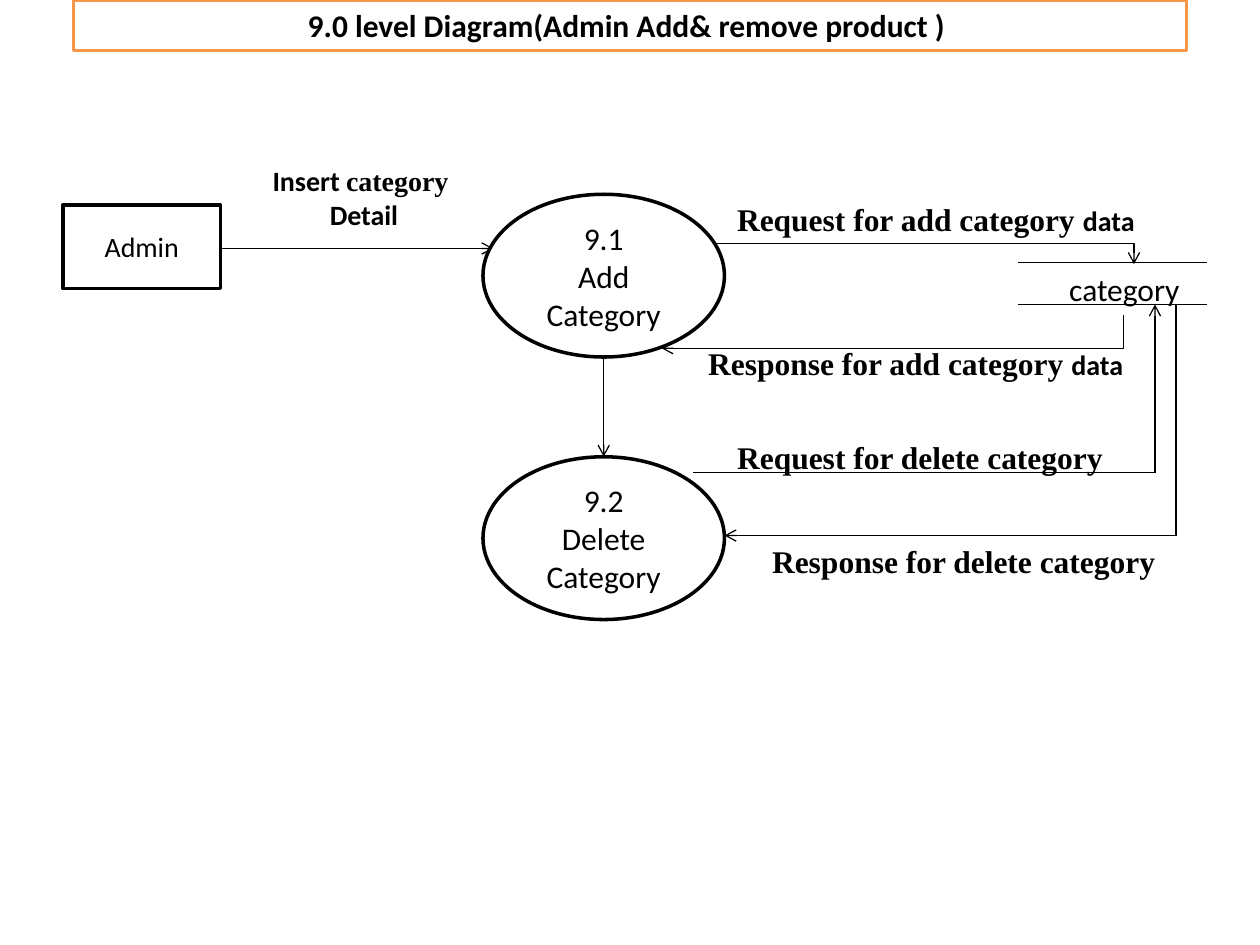
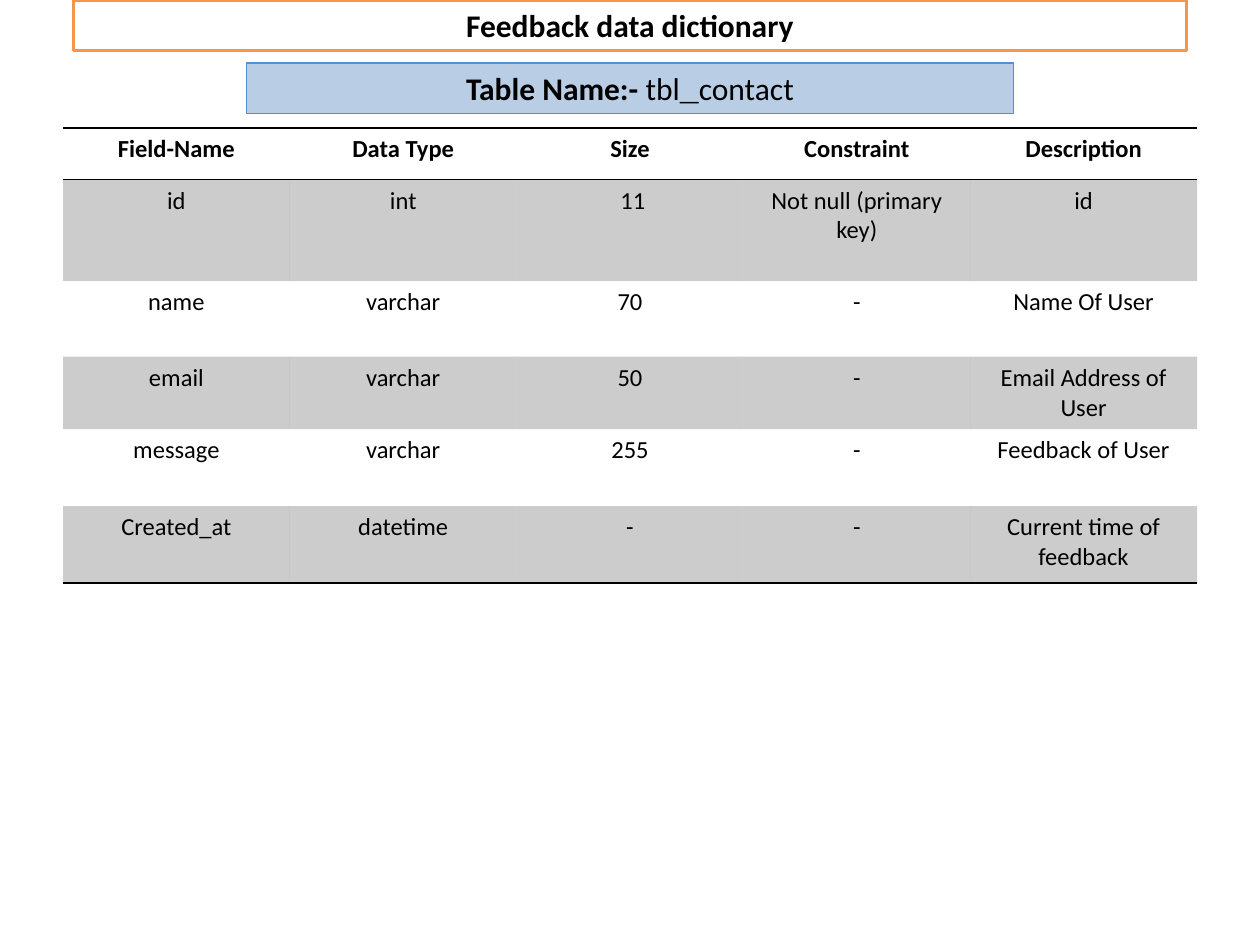
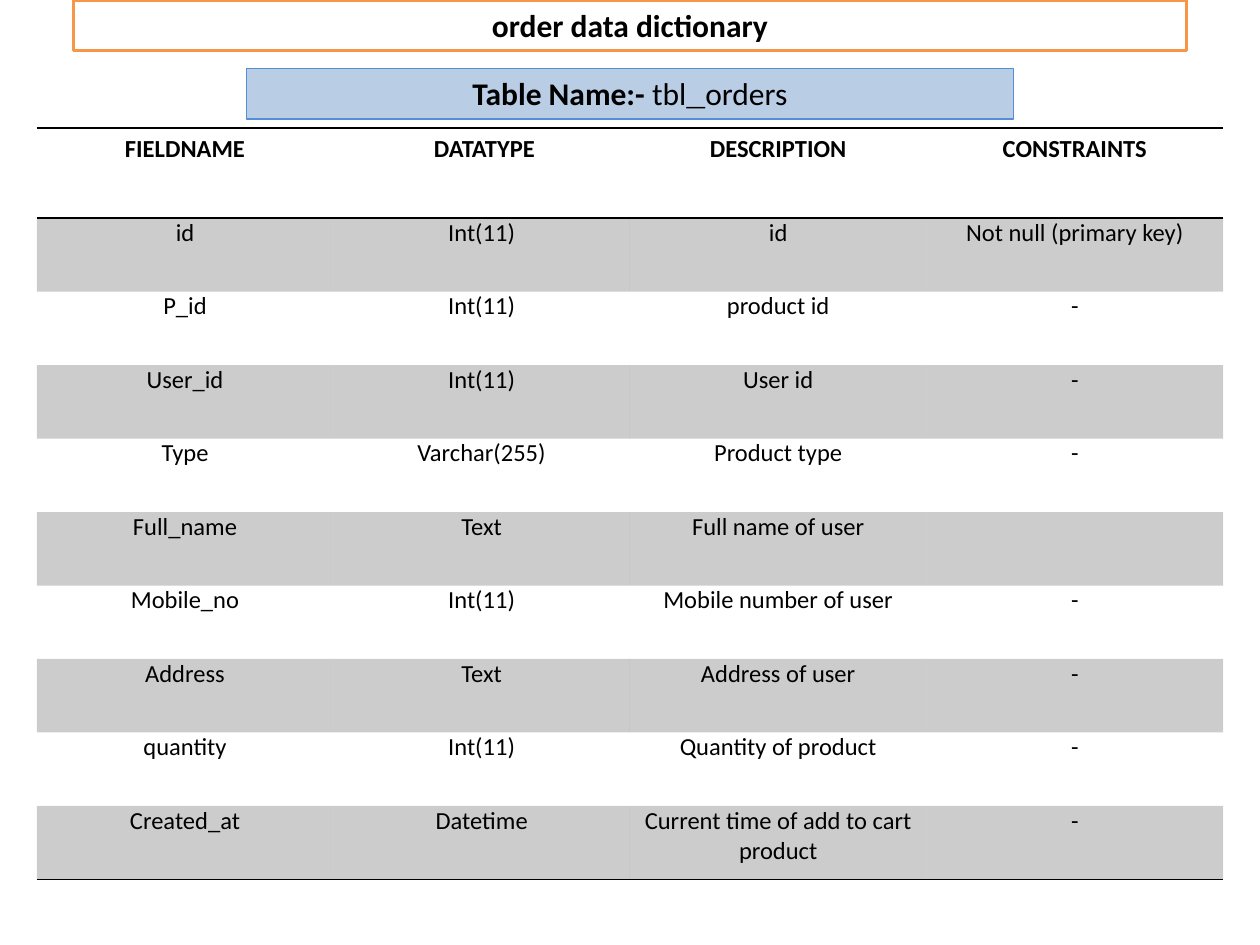
from dataclasses import dataclass
from typing import NamedTuple

from lxml.etree import SubElement
from pptx import Presentation
from pptx.dml.color import RGBColor
from pptx.enum.shapes import MSO_CONNECTOR as Link, MSO_SHAPE as Preset
from pptx.enum.text import MSO_ANCHOR as Anchor, MSO_AUTO_SIZE as AutoSize, PP_ALIGN as Align
from pptx.oxml.ns import qn
from pptx.util import Pt

# Shared look
BLACK, WHITE, ORANGE = "000000", "FFFFFF", "F79646"
BAND_FILL, BAND_LINE = "B9CDE5", "558ED5"
SANS, SERIF, MONO = "Calibri", "Times New Roman", "Courier New"
NO_GRID_STYLE = "{2D5ABB26-0587-4C30-8999-92F81FD0307C}"
LINE_HEIGHT = 29


class Box(NamedTuple):
    left: float
    top: float
    width: float
    height: float = LINE_HEIGHT


class Run(NamedTuple):
    text: str
    size: float = 18
    bold: bool = False
    font: str = SANS


class Point(NamedTuple):
    x: float
    y: float


Paragraphs = list[list[Run]]


@dataclass
class Dictionary:
    title: str
    table_name: list[Run]
    name_top: float
    left: float
    column_width: float
    row_heights: list[float]
    rows: list[list[str]]
    body_insets: tuple[float, float]


def color(value: str) -> RGBColor:
    return RGBColor.from_string(value)


def pts(values) -> list[Pt]:
    return [Pt(value) for value in values]


def write(frame, paragraphs: Paragraphs) -> None:
    for index, runs in enumerate(paragraphs):
        paragraph = frame.add_paragraph() if index else frame.paragraphs[0]
        paragraph.alignment = Align.CENTER
        for part in runs:
            run = paragraph.add_run()
            run.text = part.text
            run.font.size = Pt(part.size)
            run.font.bold = part.bold
            run.font.name = part.font
            run.font.color.rgb = color(BLACK)


def add_label(slide, box: Box, paragraphs: Paragraphs, wrap: bool = True) -> None:
    frame = slide.shapes.add_textbox(*pts(box)).text_frame
    frame.word_wrap = wrap
    frame.auto_size = AutoSize.SHAPE_TO_FIT_TEXT
    write(frame, paragraphs)


def add_node(slide, preset: Preset, box: Box, paragraphs: Paragraphs, fill: str | None = WHITE,
             line: str = BLACK, weight: float = 2, anchor: Anchor = Anchor.MIDDLE) -> None:
    node = slide.shapes.add_shape(preset, *pts(box))
    node.shadow.inherit = False
    if fill:
        node.fill.solid()
        node.fill.fore_color.rgb = color(fill)
    else:
        node.fill.background()
    node.line.color.rgb = color(line)
    node.line.width = Pt(weight)
    node.text_frame.word_wrap = True
    node.text_frame.vertical_anchor = anchor
    write(node.text_frame, paragraphs)


def add_link(slide, start: Point, end: Point, arrow: bool = True, kind: Link = Link.STRAIGHT):
    link = slide.shapes.add_connector(kind, *pts((*start, *end)))
    link.line.color.rgb = color(BLACK)
    link.line.width = Pt(0.75)
    properties = link._element.spPr
    if arrow:
        SubElement(properties.find(qn("a:ln")), qn("a:tailEnd"), type="arrow")
    SubElement(properties, qn("a:effectLst"))
    return properties


def add_corner(slide, start: Point, end: Point, down_first: bool = False) -> None:
    """One bend: across then down, or (turned a quarter) down then left."""
    if down_first:
        center = Point((start.x + end.x) / 2, (start.y + end.y) / 2)
        half_width, half_height = abs(end.y - start.y) / 2, abs(end.x - start.x) / 2
        start = Point(center.x - half_width, center.y - half_height)
        end = Point(center.x + half_width, center.y + half_height)
    properties = add_link(slide, start, end, kind=Link.ELBOW)
    properties.find(qn("a:prstGeom")).set("prst", "bentConnector2")
    if down_first:
        properties.find(qn("a:xfrm")).set("rot", "5400000")


def add_title(slide, title: str) -> None:
    add_node(slide, Preset.RECTANGLE, Box(42, 0, 636), [[Run(title, bold=True)]],
             fill=None, line=ORANGE, anchor=Anchor.TOP)


def add_border(cell, edge: str) -> None:
    line = SubElement(cell._tc.get_or_add_tcPr(), qn(f"a:{edge}"), w=str(Pt(1)))
    SubElement(SubElement(line, qn("a:solidFill")), qn("a:srgbClr"), val=BLACK)


def fill_cell(cell, shaded: bool) -> None:
    if not shaded:
        cell.fill.background()
        return
    cell.fill.solid()
    cell.fill.fore_color.rgb = color(BLACK)
    tint = cell._tc.tcPr.find(qn("a:solidFill")).find(qn("a:srgbClr"))
    SubElement(tint, qn("a:alpha"), val="20000")


def add_dictionary(slide, content: Dictionary) -> None:
    add_title(slide, content.title)
    columns = len(content.rows[0])
    last = len(content.rows) - 1
    box = Box(content.left, 73.2, content.column_width * columns, sum(content.row_heights))
    table = slide.shapes.add_table(last + 1, columns, *pts(box)).table
    table.first_row = table.horz_banding = False
    table._tbl.tblPr.find(qn("a:tableStyleId")).text = NO_GRID_STYLE
    for column in table.columns:
        column.width = Pt(content.column_width)
    for r, (values, height) in enumerate(zip(content.rows, content.row_heights)):
        table.rows[r].height = Pt(height)
        for c, value in enumerate(values):
            cell = table.cell(r, c)
            if r == 0:
                add_border(cell, "lnT")
            else:
                side, end = content.body_insets
                cell.margin_left = cell.margin_right = Pt(side)
                cell.margin_top = cell.margin_bottom = Pt(end)
            if r in (0, last):
                add_border(cell, "lnB")
            fill_cell(cell, shaded=r % 2 == 1)
            if value:
                write(cell.text_frame, [[Run(value, 14, bold=r == 0)]])
    add_node(slide, Preset.RECTANGLE, Box(141, content.name_top, 438),
             [[Run("Table Name:- ", bold=True), *content.table_name]],
             BAND_FILL, BAND_LINE, 0.75, Anchor.TOP)


def add_flow_diagram(slide) -> None:
    def serif(text: str) -> Run:
        return Run(text, 18, True, SERIF)

    data = Run("data", 16, True)
    process_left, process_width, process_height = 276, 138, 93
    add_top, delete_top = 111, 261
    store_top, store_bottom = 150, 174

    # Admin input and the category store
    add_link(slide, Point(126, 142), Point(282, 142))
    for y in (store_bottom, store_top):
        add_link(slide, Point(582, y), Point(690, y), arrow=False)
    add_label(slide, Box(582, 151, 121), [[Run("category")]])
    add_label(slide, Box(137.5, 90, 141, 46),
              [[Run("Insert ", 16, True), Run("category ", 16, True, SERIF)],
               [Run("Detail", 16, True)]], wrap=False)

    # Add process
    add_node(slide, Preset.OVAL, Box(process_left, add_top, process_width, process_height),
             [[Run("9.1")], [Run("Add Category")]])
    add_label(slide, Box(407, 111, 255.5), [[serif("Request for add category "), data]], wrap=False)
    add_node(slide, Preset.RECTANGLE, Box(36, 117, 90, 48), [[Run("Admin", 16)]])
    add_corner(slide, Point(407.5, 139), Point(648, 151))
    add_corner(slide, Point(642, 180), Point(378, 199), down_first=True)
    add_label(slide, Box(390, 193, 266.5), [[serif("Response for add category "), data]], wrap=False)

    # Delete request and response
    add_link(slide, Point(396, 270), Point(660, 270), arrow=False)
    add_link(slide, Point(660, 270), Point(660, store_bottom))
    add_link(slide, Point(672, store_bottom), Point(672, 306), arrow=False)
    add_link(slide, Point(672, 306), Point(process_left + process_width, 306))
    add_label(slide, Box(396, 247, 264), [[serif("Request for delete category ")]])
    add_label(slide, Box(416, 306, 274), [[serif("Response for delete category ")]])

    # Delete process
    add_link(slide, Point(345, add_top + process_height), Point(345, delete_top))
    add_title(slide, "9.0 level Diagram(Admin Add& remove product ) ")
    add_node(slide, Preset.OVAL, Box(process_left, delete_top, process_width, process_height),
             [[Run("9.2")], [Run("Delete")], [Run("Category")]])


FEEDBACK = Dictionary(
    title="Feedback data dictionary",
    table_name=[Run("tbl"), Run("_", bold=True, font=MONO), Run("contact")],
    name_top=36, left=36, column_width=129.6,
    row_heights=[29.4, 58, 43.2, 41.4, 44, 44],
    rows=[
        ["Field-Name", "Data Type", "Size", "Constraint", "Description"],
        ["id", "int", " 11", "Not null (primary key)", "id"],
        ["name", "varchar", "70", "-", "Name Of User"],
        ["email", "varchar", "50", "-", "Email Address of User"],
        ["message", "varchar", "255", "-", "Feedback of User"],
        ["Created_at", "datetime", "-", "-", "Current time of feedback"],
    ],
    body_insets=(7.2, 3.6),
)

ORDERS = Dictionary(
    title="order data dictionary",
    table_name=[Run("tbl"), Run("_", font=MONO), Run("orders")],
    name_top=39, left=21, column_width=169.5,
    row_heights=[51.5] + [42] * 9,
    rows=[
        ["FIELDNAME", " DATATYPE", "DESCRIPTION", "CONSTRAINTS"],
        ["id", "Int(11)", "id", "Not null (primary key)"],
        ["P_id", "Int(11)", "product id", "-"],
        ["User_id", "Int(11)", "User id", "-"],
        ["Type", "Varchar(255)", "Product type", "-"],
        ["Full_name", "Text", "Full name of user", ""],
        ["Mobile_no", "Int(11)", "Mobile number of user", "-"],
        ["Address", "Text", "Address of user", "-"],
        ["quantity", "Int(11)", "Quantity of product", "-"],
        ["Created_at", "Datetime", "Current time of add to cart product", "-"],
    ],
    body_insets=(5, 0),
)


def main() -> None:
    deck = Presentation()
    deck.slide_width, deck.slide_height = Pt(720), Pt(540)
    blank = deck.slide_layouts[6]
    add_flow_diagram(deck.slides.add_slide(blank))
    for content in (FEEDBACK, ORDERS):
        add_dictionary(deck.slides.add_slide(blank), content)
    deck.save("out.pptx")


if __name__ == "__main__":
    main()
